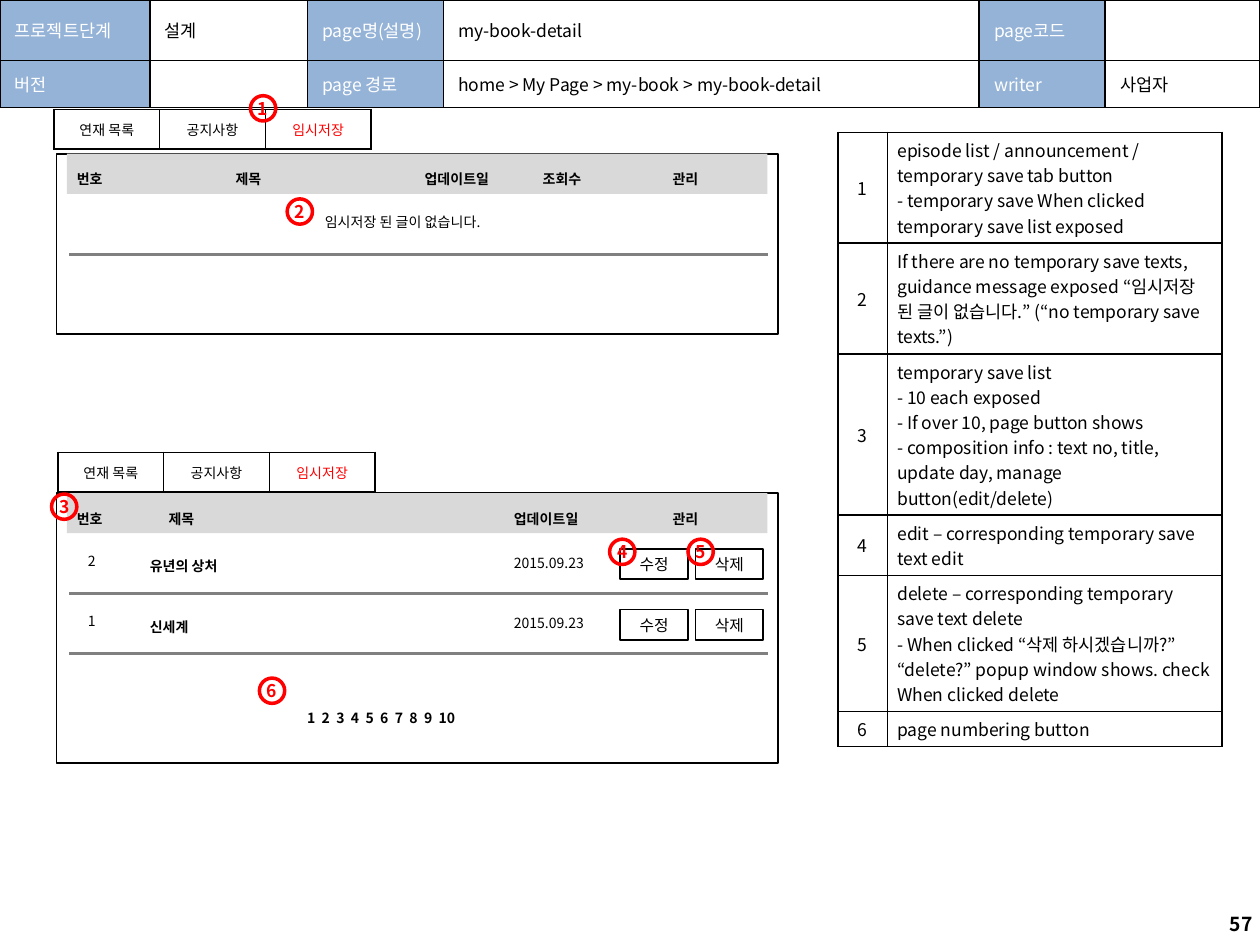
"""Build the my-book-detail page specification slide."""
from lxml.etree import SubElement
from pptx import Presentation
from pptx.dml.color import RGBColor
from pptx.enum.shapes import MSO_CONNECTOR, MSO_SHAPE
from pptx.enum.text import MSO_ANCHOR, MSO_AUTO_SIZE, PP_ALIGN
from pptx.oxml.ns import qn
from pptx.util import Cm, Pt

FONT = "Noto Sans CJK KR"
COLORS = {"black": "000000", "white": "FFFFFF", "red": "FF0000", "blue": "95B3D7",
          "bar": "D9D9D9", "rule": "808080"}
COLORS = {name: RGBColor.from_string(value) for name, value in COLORS.items()}
LEFT, CENTER, RIGHT = PP_ALIGN.LEFT, PP_ALIGN.CENTER, PP_ALIGN.RIGHT
TOP, MIDDLE = MSO_ANCHOR.TOP, MSO_ANCHOR.MIDDLE


def write_text(text_frame, text, size, color="black", bold=False, align=LEFT):
    paragraph = text_frame.paragraphs[0]
    paragraph.alignment = align
    if not text:
        SubElement(paragraph._p, qn("a:endParaRPr"), sz=str(size * 100))
    for index, line in enumerate(text.split("\n") if text else []):
        if index:
            paragraph.add_line_break()
        run = paragraph.add_run()
        run.text = line
        run.font.size = Pt(size)
        run.font.name = FONT
        run.font.bold = bold
        run.font.color.rgb = COLORS[color]
        SubElement(run._r.get_or_add_rPr(), qn("a:ea"), typeface=FONT)
    return paragraph


def add_box(box, text="", size=8, kind=None, fill=None, line=None, weight=1, color="black",
            bold=False, align=LEFT, anchor=MIDDLE, wrap=True, spacing=None):
    place = [Cm(value) for value in box]
    if kind is None:
        shape = slide.shapes.add_textbox(*place)
    else:
        shape = slide.shapes.add_shape(kind, *place)
        shape.shadow.inherit = False
        shape.fill.background()
        shape.line.fill.background()
    if fill:
        shape.fill.solid()
        shape.fill.fore_color.rgb = COLORS[fill]
    if line:
        shape.line.color.rgb = COLORS[line]
        shape.line.width = Pt(weight)
    shape.text_frame.word_wrap = wrap
    shape.text_frame.vertical_anchor = anchor
    if text:
        paragraph = write_text(shape.text_frame, text, size, color, bold, align)
        if spacing:
            paragraph.line_spacing = spacing
            shape.text_frame.auto_size = MSO_AUTO_SIZE.SHAPE_TO_FIT_TEXT
        return paragraph


presentation = Presentation()
presentation.slide_width = Cm(25.4)
presentation.slide_height = Cm(19.05)
slide = presentation.slides.add_slide(presentation.slide_layouts[6])

header_rows = [
    ["프로젝트단계", "설계", "page명(설명)", "my-book-detail", "page코드", ""],
    ["버전", "", "page 경로", "home > My Page > my-book > my-book-detail", "writer", "사업자"],
]
notes = [
    "episode list / announcement / temporary save tab button\n"
    "- temporary save When clicked temporary save list exposed",
    "If there are no temporary save texts, guidance message exposed "
    "“임시저장 된 글이 없습니다.” (“no temporary save texts.”)",
    "temporary save list\n- 10 each exposed\n- If over 10, page button shows\n"
    "- composition info : text no, title, update day, manage button(edit/delete)",
    "edit – corresponding temporary save text edit",
    "delete – corresponding temporary save text delete\n"
    "- When clicked “삭제 하시겠습니까?” “delete?” popup window shows. check When clicked delete",
    "page numbering button",
]
note_rows = [[str(number), note] for number, note in enumerate(notes, 1)]
tab_rows = [["연재 목록", "공지사항", "임시저장"]]
label_style = ("blue", "white", LEFT)
value_style = (None, "black", LEFT)
number_style = (None, "black", CENTER)
tab_styles = [("white", "black", CENTER), number_style, (None, "red", CENTER)]

tables = [
    (0, 0, [3.02, 3.18, 2.74, 10.8, 2.54, 3.12], 0.95, 1.9, 0.3, 0.1, 10,
     [label_style, value_style] * 3, header_rows),
    (16.89, 2.67, [1, 6.74], 0.43, 10.52, 0.2, 0.1, 10, [number_style, value_style], note_rows),
    (1.09, 2.21, [2.13] * 3, 0.79, 0.79, 0.1, 0.13, 8, tab_styles, tab_rows),
    (1.17, 9.12, [2.13] * 3, 0.79, 0.79, 0.1, 0.13, 8, tab_styles, tab_rows),
]
for left, top, widths, row_height, height, side, edge, size, styles, rows in tables:
    frame = slide.shapes.add_table(len(rows), len(widths), Cm(left), Cm(top),
                                   Cm(sum(widths)), Cm(height))
    table = frame.table
    table.first_row = False
    table.horz_banding = False
    for column, width in zip(table.columns, widths):
        column.width = Cm(width)
    for row, texts in zip(table.rows, rows):
        row.height = Cm(row_height)
        for cell, text, (fill, color, align) in zip(row.cells, texts, styles):
            cell.margin_left = cell.margin_right = Cm(side)
            cell.margin_top = cell.margin_bottom = Cm(edge)
            cell.vertical_anchor = MIDDLE
            for border in ("a:lnL", "a:lnR", "a:lnT", "a:lnB"):
                line = SubElement(cell._tc.get_or_add_tcPr(), qn(border), w=str(Pt(1)))
                SubElement(SubElement(line, qn("a:solidFill")), qn("a:srgbClr"),
                           val=str(COLORS["black"]))
            if fill:
                cell.fill.solid()
                cell.fill.fore_color.rgb = COLORS[fill]
            else:
                cell.fill.background()
            write_text(cell.text_frame, text, size, color, align=align)
    frame.height = Cm(height)

add_box((19.58, 18.11, 5.92, 1.02), "57", 11, bold=True, align=RIGHT)

panels = [
    (3.1, 3.63, [("번호", 1.3, 1.04), ("제목", 4.5, 1.04), ("업데이트일", 8.31, 1.85),
                 ("조회수", 10.69, 1.32), ("관리", 13.31, 1.04)]),
    (9.94, 5.44, [("번호", 1.3, 1.04), ("제목", 3.15, 1.04), ("업데이트일", 10.11, 1.85),
                  ("관리", 13.31, 1.04)]),
]
for top, height, headings in panels:
    add_box((1.14, top, 14.55, height), kind=MSO_SHAPE.RECTANGLE, line="black")
    add_box((1.35, top, 14.12, 0.81), kind=MSO_SHAPE.RECTANGLE, fill="bar")
    for heading, left, width in headings:
        add_box((left, top + 0.05, width, 0.71), heading, bold=True, anchor=TOP,
                wrap=False, spacing=1.5)

add_box((6.3, 4.19, 4.57, 0.56), "임시저장 된 글이 없습니다.")

for index, (number, title) in enumerate([("2", "유년의 상처"), ("1", "신세계")]):
    top = 10.95 + 1.22 * index
    add_box((1.52, top + 0.07, 4.57, 0.56), number)
    add_box((2.77, top, 4.93, 0.71), title, bold=True, anchor=TOP, spacing=1.5)
    add_box((10.11, top + 0.07, 1.98, 0.64), "2015.09.23", kind=MSO_SHAPE.RECTANGLE,
            fill="white", wrap=False)
    for label, left in (("수정", 12.5), ("삭제", 14.02)):
        add_box((left, top + 0.12, 1.37, 0.61), label, 9, kind=MSO_SHAPE.RECTANGLE,
                line="black", align=CENTER)

for top in (5.13, 11.96, 13.18):
    rule = slide.shapes.add_connector(MSO_CONNECTOR.STRAIGHT, Cm(1.4), Cm(top),
                                      Cm(15.49), Cm(top))
    rule.line.color.rgb = COLORS["rule"]
    rule.line.width = Pt(1.5)
    SubElement(rule._element.spPr, qn("a:effectLst"))

page_numbers = "\t".join(str(number) for number in range(1, 11))
pager = add_box((5.94, 14.17, 4.17, 0.61), page_numbers, bold=True, anchor=TOP)
tab_stops = SubElement(pager._p.get_or_add_pPr(), qn("a:tabLst"))
for index in range(1, 10):
    SubElement(tab_stops, qn("a:tab"), pos=str(Cm(0.295 * index)), algn="l")

markers = [(5.05, 1.93), (5.79, 4.01), (1.04, 9.96), (12.29, 10.87), (13.87, 10.87), (5.23, 13.67)]
for number, (left, top) in enumerate(markers, 1):
    add_box((left, top, 0.51, 0.51), str(number), 10, kind=MSO_SHAPE.OVAL, line="red",
            weight=2, color="red", bold=True, align=CENTER, wrap=False)

presentation.save("out.pptx")
